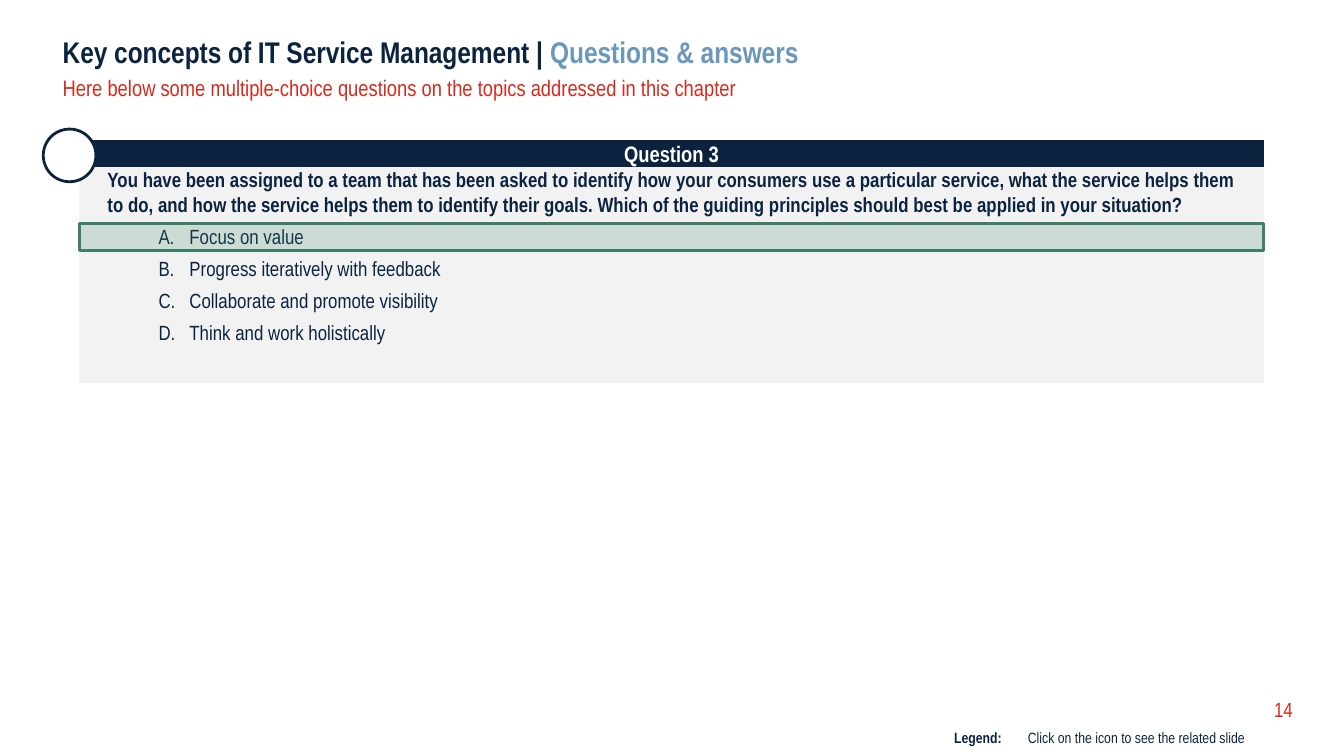
from lxml import etree
from pptx import Presentation
from pptx import util as u
from pptx.dml.color import RGBColor
from pptx.enum import shapes, text
from pptx.oxml.ns import qn

NAVY = RGBColor(0x0C, 0x23, 0x40)
BLUE = RGBColor(0x6A, 0x97, 0xBE)
RED = RGBColor(0xDA, 0x29, 0x1C)
GREEN = RGBColor(0x3D, 0x80, 0x65)
GREY = RGBColor(0xF2, 0xF2, 0xF2)
WHITE = RGBColor(0xFF, 0xFF, 0xFF)

RECT = shapes.MSO_SHAPE.RECTANGLE
OVAL = shapes.MSO_SHAPE.OVAL
TOP = text.MSO_ANCHOR.TOP
MIDDLE = text.MSO_ANCHOR.MIDDLE
BOTTOM = text.MSO_ANCHOR.BOTTOM

# Shares of the slide, in percent
LEFT, WIDE = 4.67, 91.4
CARD, SPAN = 5.9, 88.14
HEAD, BAR = 18.52, 3.56
FOOT = 95.5

ASK = ("You have been assigned to a team that has been asked to identify how "
       "your consumers use a particular service, what the service helps them "
       "to do, and how the service helps them to identify their goals. Which "
       "of the guiding principles should best be applied in your situation?")
OPTIONS = ["Focus on value", "Progress iteratively with feedback",
           "Collaborate and promote visibility", "Think and work holistically"]


class Deck:
    face = "Arial Narrow"

    def __init__(self, wide, ratio):
        self.show = Presentation()
        self.show.slide_width = u.Inches(wide)
        self.show.slide_height = u.Inches(wide * ratio)
        self.slide = self.show.slides.add_slide(self.show.slide_layouts[6])

    def place(self, x, y, w, h):
        """Turn percentages of the slide into lengths."""
        wide, high = self.show.slide_width, self.show.slide_height
        return [round(part * side / 100)
                for part, side in zip((x, y, w, h), (wide, high) * 2)]

    def frame(self, shape, pads, anchor=TOP):
        body = shape.text_frame
        body.word_wrap = True
        body.vertical_anchor = anchor
        (body.margin_left, body.margin_top,
         body.margin_right, body.margin_bottom) = map(u.Inches, pads)
        return body

    def style(self, para, size, color, bold=False, align=text.PP_ALIGN.LEFT):
        para.alignment = align
        font = para.font
        font.name, font.size, font.bold = self.face, u.Pt(size), bold
        font.color.rgb = color

    def label(self, box, words, size, color, bold=False, pads=(0, 0, 0, 0),
              anchor=TOP, lead=None):
        shape = self.slide.shapes.add_textbox(*self.place(*box))
        para = self.frame(shape, pads, anchor).paragraphs[0]
        if lead:
            para.line_spacing = u.Pt(lead)
        para.add_run().text = words
        self.style(para, size, color, bold)
        return para

    def shape(self, kind, box, fill, line=None, alpha=None):
        item = self.slide.shapes.add_shape(kind, *self.place(*box))
        item.shadow.inherit = False
        item.fill.solid()
        item.fill.fore_color.rgb = fill
        if alpha:
            tone = item.fill._xPr.find(".//" + qn("a:srgbClr"))
            etree.SubElement(tone, qn("a:alpha"), val=str(alpha * 1000))
        if line:
            item.line.color.rgb = line
            item.line.width = u.Pt(1.5)
        else:
            item.line.fill.background()
        return item

    def option(self, body, words, size, color):
        """Add an answer lettered A., B., C. and so on."""
        para = body.add_paragraph()
        para.level = 1
        para.text = words
        props = para._p.get_or_add_pPr()
        props.set("marL", str(u.Inches(0.61)))
        props.set("indent", str(u.Inches(-0.23)))
        etree.SubElement(props, qn("a:buFont"), typeface="+mj-lt")
        etree.SubElement(props, qn("a:buAutoNum"), type="alphaUcPeriod")
        para.space_before = para.space_after = u.Pt(2)
        self.style(para, size, color)


def main():
    deck = Deck(10, 9 / 16)

    title = deck.label((LEFT, 4.8, WIDE, 4.63),
                       "Key concepts of IT Service Management | ",
                       16, NAVY, True, lead=18)
    topic = title.add_run()
    topic.text = "Questions & answers"
    topic.font.color.rgb = BLUE

    card = deck.shape(RECT, (CARD, HEAD, SPAN, 32.18), GREY)
    body = deck.frame(card, (0.21, 0.2, 0.08, 0.05))
    ask = body.paragraphs[0]
    ask.text = ASK
    ask.space_after = u.Pt(2)
    deck.style(ask, 11, NAVY, True)
    for words in OPTIONS:
        deck.option(body, words, 11, NAVY)
    deck.shape(RECT, (CARD, 29.54, SPAN, BAR), GREEN, GREEN, alpha=20)

    deck.label((LEFT, 9.96, WIDE, BAR),
               "Here below some multiple-choice questions on the topics "
               "addressed in this chapter", 12, RED, lead=13.8)

    bar = deck.shape(RECT, (CARD, HEAD, SPAN, BAR), NAVY)
    name = deck.frame(bar, (0.2, 0.05, 0.2, 0.05), MIDDLE).paragraphs[0]
    name.text = "Question 3"
    deck.style(name, 12, WHITE, True, text.PP_ALIGN.CENTER)
    deck.shape(OVAL, (3.22, 17.08, 3.92, 6.97), WHITE, NAVY)

    deck.label((94.8, 92.62, 4.1, 2.85), "14", 11, RED, anchor=BOTTOM)
    pads = (0.1, 0.05, 0.1, 0.05)
    deck.label((75.5, FOOT, 18.6, 4.27),
               "Click on the icon to see the related slide", 8, NAVY, pads=pads)
    deck.label((70, FOOT, 5.9, BAR), "Legend:", 8, NAVY, True, pads)

    deck.show.save("out.pptx")


if __name__ == "__main__":
    main()
